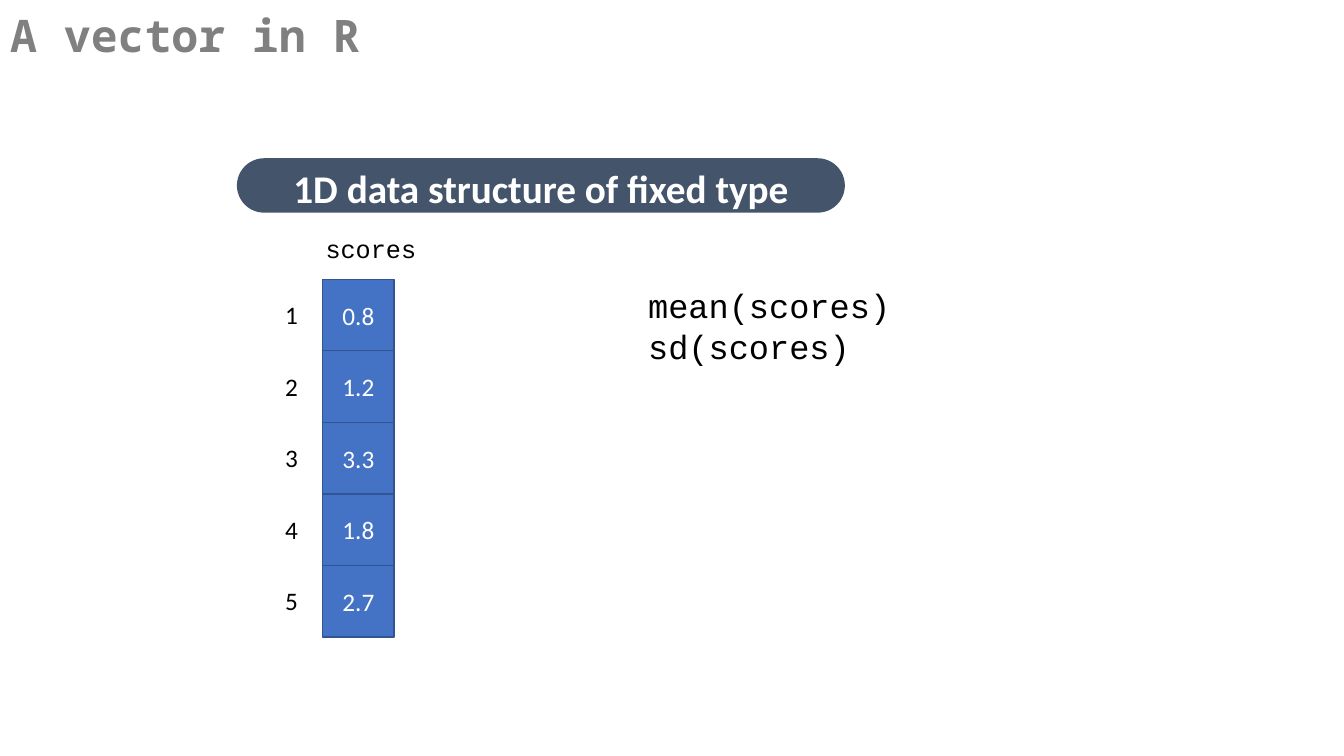
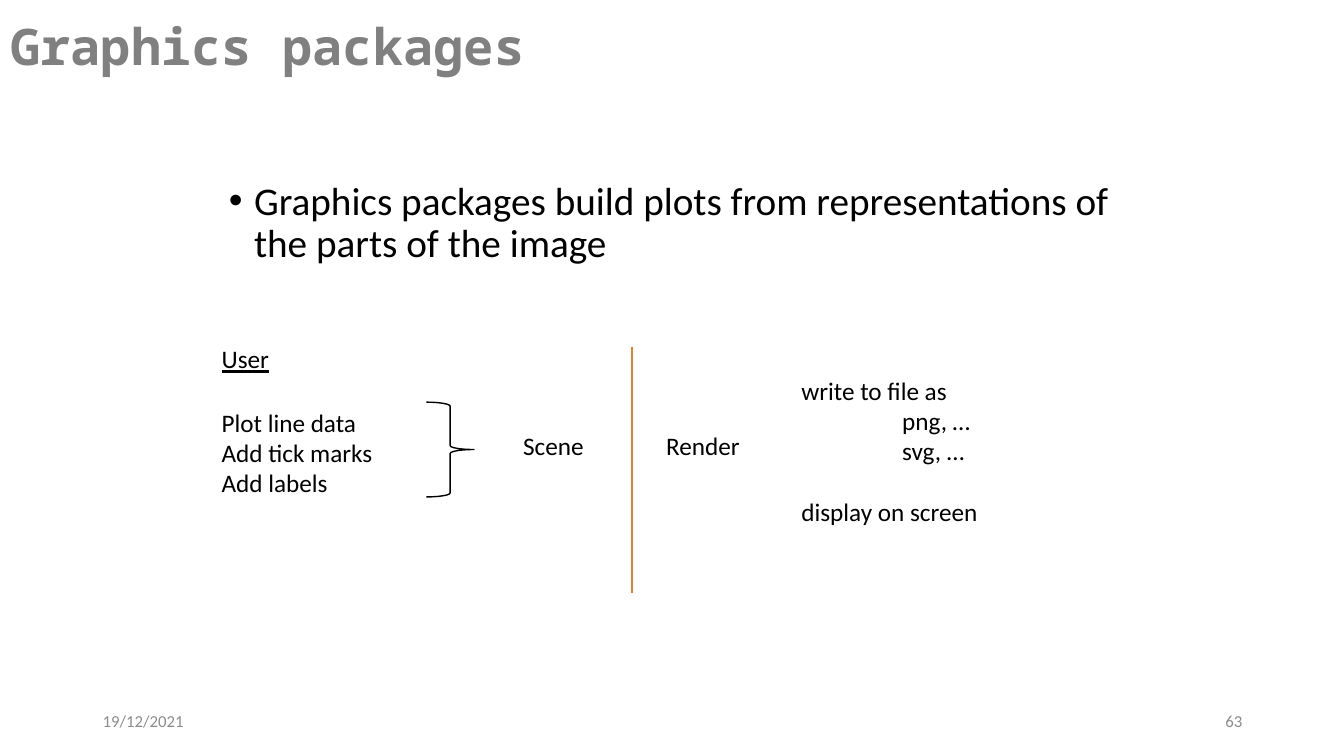
from lxml.etree import SubElement
from pptx import Presentation
from pptx.dml.color import RGBColor
from pptx.enum.shapes import MSO_CONNECTOR, MSO_SHAPE
from pptx.enum.text import MSO_ANCHOR, MSO_AUTO_SIZE, PP_ALIGN
from pptx.oxml.ns import qn
from pptx.util import Inches, Pt

BLACK, WHITE, GREY, FOOTER_GREY = "000000", "FFFFFF", "808080", "8C8C8C"
BLUE, BLUE_EDGE, SLATE, ORANGE = "4472C4", "325491", "44546A", "ED7D31"
BODY_FONT, CODE_FONT, TITLE_FONT = "Calibri", "Courier New", "Noto Sans Mono"
CELL = 0.71


def paint(colour_format, colour):
    """Set a fill, line or font colour from a hex string."""
    colour_format.rgb = RGBColor.from_string(colour)


def write(frame, lines, size=18, font=BODY_FONT, colour=BLACK, bold=False,
          align=PP_ALIGN.LEFT, anchor=MSO_ANCHOR.TOP):
    """Fill a text frame with lines in a single style."""
    frame.text = "\n".join(lines)
    frame.vertical_anchor = anchor
    for para in frame.paragraphs:
        para.alignment = align
        for span in para.runs:
            span.font.size = Pt(size)
            span.font.name = font
            span.font.bold = bold
            paint(span.font.color, colour)


def indent(para, left, first=0):
    """Set the left margin and first-line indent of a paragraph."""
    properties = para._p.get_or_add_pPr()
    properties.set("marL", str(Inches(left)))
    properties.set("indent", str(Inches(first)))
    return properties


def place(shape, left, top, width, height):
    """Move and size a placeholder."""
    shape.left, shape.top = Inches(left), Inches(top)
    shape.width, shape.height = Inches(width), Inches(height)


def add_page(deck, layout, title, top, size):
    """Add a slide with the shared title style."""
    page = deck.slides.add_slide(deck.slide_layouts[layout])
    place(page.shapes.title, 0, top, 13.16, 1.37)
    frame = page.shapes.title.text_frame
    frame.auto_size = MSO_AUTO_SIZE.NONE
    write(frame, [title], size, TITLE_FONT, GREY, bold=True)
    frame.paragraphs[0].line_spacing = 0.9
    return page


def add_label(page, lines, left, top, width, height=0.4, wrap=False, **style):
    """Add a text box and return its text frame."""
    box = page.shapes.add_textbox(Inches(left), Inches(top), Inches(width), Inches(height))
    frame = box.text_frame
    frame.word_wrap = wrap
    frame.auto_size = MSO_AUTO_SIZE.NONE if wrap else MSO_AUTO_SIZE.SHAPE_TO_FIT_TEXT
    write(frame, lines, **style)
    return frame


def add_block(shapes, kind, left, top, width, height, fill=None, edge=None):
    """Add a preset shape with an optional fill and outline."""
    block = shapes.add_shape(kind, Inches(left), Inches(top), Inches(width), Inches(height))
    block.shadow.inherit = False
    if fill:
        block.fill.solid()
        paint(block.fill.fore_color, fill)
    else:
        block.fill.background()
    if edge:
        paint(block.line.color, edge)
        block.line.width = Pt(1)
    else:
        block.line.fill.background()
    return block


def add_divider(page, x, top, bottom):
    """Draw the vertical rule between two stages."""
    divider = page.shapes.add_connector(
        MSO_CONNECTOR.STRAIGHT, Inches(x), Inches(top), Inches(x), Inches(bottom))
    paint(divider.line.color, ORANGE)
    divider.line.width = Pt(1)
    SubElement(divider._element.spPr, qn("a:effectLst"))


def add_vector(page, values, left, top):
    """Draw a numbered column of value cells."""
    group = page.shapes.add_group_shape()
    for row, value in enumerate(values):
        y = top + row * CELL
        cell = add_block(group.shapes, MSO_SHAPE.RECTANGLE, left, y, CELL, CELL, BLUE, BLUE_EDGE)
        write(cell.text_frame, [value], colour=WHITE, align=PP_ALIGN.CENTER,
              anchor=MSO_ANCHOR.MIDDLE)
        add_label(page, [str(row + 1)], left - 0.47, y + 0.15, 0.33)


def add_bullet(page, text):
    """Fill the body placeholder with a single bullet."""
    body = page.placeholders[1]
    place(body, 2.17, 1.75, 9, 1.45)
    body.text_frame.auto_size = MSO_AUTO_SIZE.NONE
    write(body.text_frame, [text], 28)
    para = body.text_frame.paragraphs[0]
    SubElement(indent(para, 0.25, -0.25), qn("a:buChar"), char="•")
    para.line_spacing = 0.9
    para.space_before = Pt(0)


def add_footer(page, date, number):
    """Add the date and the slide number."""
    for text, left, align in ((date, 0.92, PP_ALIGN.LEFT), (number, 9.42, PP_ALIGN.RIGHT)):
        add_label(page, [text], left, 6.95, 3, wrap=True, size=12, colour=FOOTER_GREY,
                  align=align, anchor=MSO_ANCHOR.MIDDLE)


def build_vector_page(deck):
    """Build the slide on vectors."""
    page = add_page(deck, 5, "A vector in R", 0.09, 32)
    add_vector(page, ["0.8", "1.2", "3.3", "1.8", "2.7"], 3.2, 2.77)
    add_label(page, ["scores"], 3.13, 2.27, 1.11, font=CODE_FONT)
    add_label(page, ["mean(scores)", "sd(scores)"], 6.33, 2.78, 2.64, 0.91,
              size=24, font=CODE_FONT)
    banner = add_block(page.shapes, MSO_SHAPE.ROUNDED_RECTANGLE, 2.35, 1.57, 6.03, 0.54, SLATE)
    banner.adjustments[0] = 0.5
    banner.text_frame.margin_top = Inches(0.04)
    banner.text_frame.margin_bottom = 0
    write(banner.text_frame, ["1D data structure of fixed type"], 28, colour=WHITE,
          bold=True, align=PP_ALIGN.CENTER, anchor=MSO_ANCHOR.MIDDLE)


def build_graphics_page(deck):
    """Build the slide on graphics packages."""
    page = add_page(deck, 1, "Graphics packages", 0.17, 36)
    add_bullet(page, "Graphics packages build plots from representations of "
                     "the parts of the image")
    add_footer(page, "19/12/2021", "63")
    user = add_label(page, ["User"], 2.1, 3.36, 1.1, wrap=True)
    user.paragraphs[0].runs[0].font.underline = True
    add_label(page, ["Plot line data", "Add tick marks", "Add labels"], 2.1, 3.99, 1.71, 1.01)
    add_block(page.shapes, MSO_SHAPE.RIGHT_BRACE, 4.23, 3.99, 0.47, 0.94, edge=BLACK)
    add_label(page, ["Scene"], 5.09, 4.22, 0.81)
    add_divider(page, 6.27, 3.44, 5.88)
    add_label(page, ["Render"], 6.51, 4.22, 0.94)
    output = add_label(page, ["write to file as", "png, …", "svg, …", "display on screen"],
                       7.85, 3.67, 2.03, 1.62, wrap=True)
    for para in output.paragraphs[1:3]:
        indent(para, 1)
    output.paragraphs[3].space_before = Pt(22)


def main():
    """Build and save the deck."""
    deck = Presentation()
    deck.slide_width, deck.slide_height = Inches(13.33), Inches(7.5)
    build_vector_page(deck)
    build_graphics_page(deck)
    deck.save("out.pptx")


if __name__ == "__main__":
    main()
